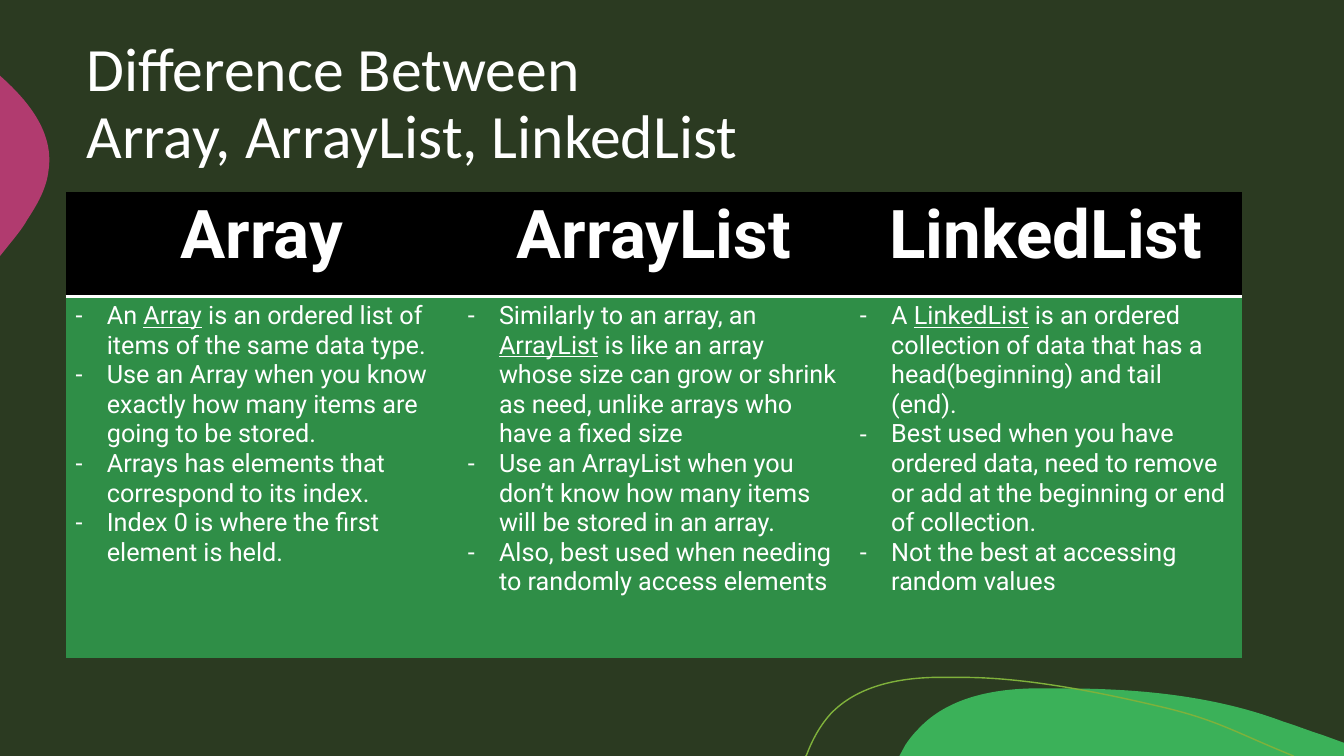
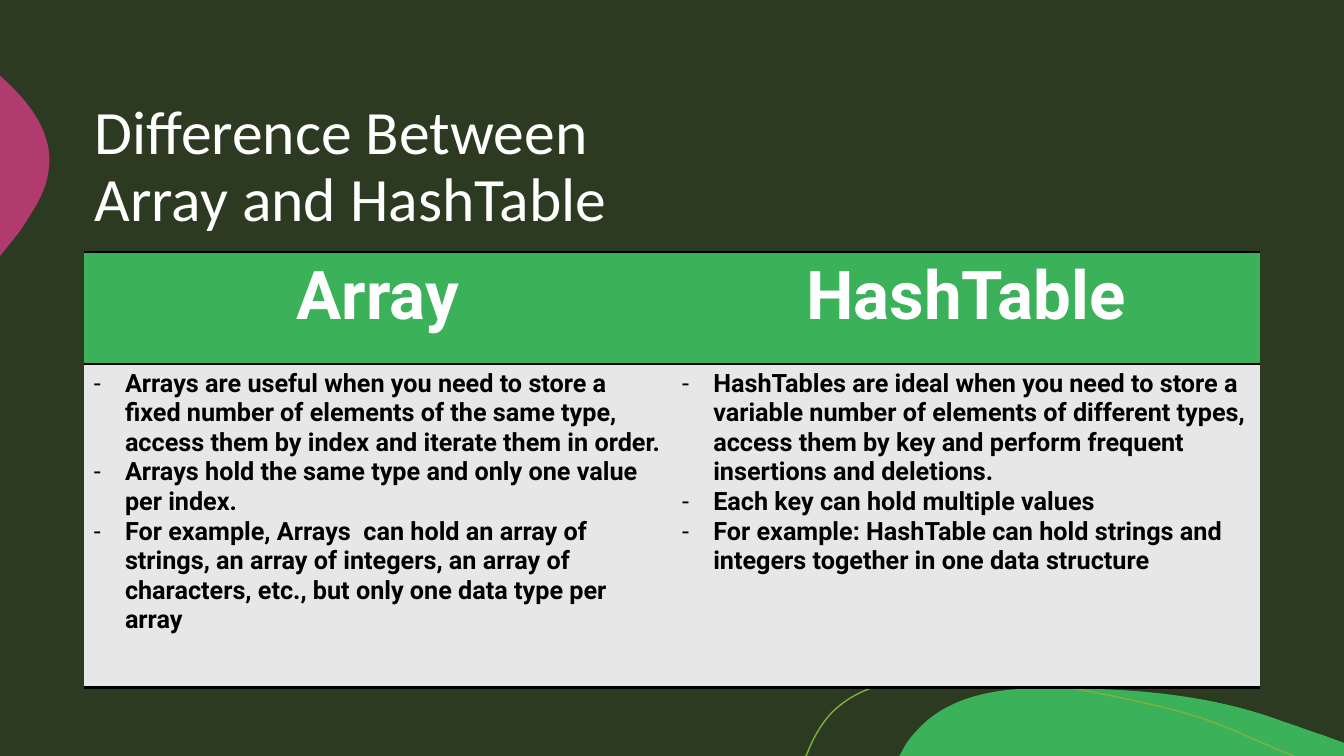
from lxml import etree
from pptx import Presentation
from pptx.dml.color import RGBColor
from pptx.enum.text import MSO_ANCHOR, PP_ALIGN
from pptx.oxml.ns import qn
from pptx.util import Inches, Pt

CENTER = PP_ALIGN.CENTER
MIDDLE = MSO_ANCHOR.MIDDLE

COLORS = {
    "background": "2B3A21",
    "green": "3BB159",
    "dark green": "2F8E47",
    "olive": "7FB13B",
    "pink": "B13B6F",
    "gray": "E7E7E7",
    "white": "FFFFFF",
    "black": "000000",
}
TITLE_FONT, TABLE_FONT = "Calibri", "Roboto"
TITLE_SIZE, HEADER_SIZE, BODY_SIZE = 44, 48, 18
CONTENT_WIDTH, TITLE_HEIGHT = 11.67, 1.67
BULLET_INDENT = 0.31
RULE_WIDTH = 2
NO_GRID_STYLE = "{2D5ABB26-0587-4C30-8999-92F81FD0307C}"

# Outlines: a start point, then segments of one point (line) or three (Bezier curve).
GREEN_HILL = [
    (10.54, 6.83),
    [(11.28, 6.83), (12.04, 6.9), (12.73, 7.16)],
    [(12.86, 7.2), (12.98, 7.25), (13.11, 7.29)],
    [(13.33, 7.37)], [(13.33, 7.5)], [(8.92, 7.5)], [(8.98, 7.39)],
    [(9.02, 7.33), (9.06, 7.28), (9.11, 7.23)],
    [(9.39, 6.93), (9.82, 6.84), (10.23, 6.83)],
    [(10.33, 6.83), (10.43, 6.83), (10.54, 6.83)],
]
PINK_BUMP = [
    (0, 0.75),
    [(0.01, 0.76)],
    [(0.3, 1.02), (0.54, 1.33), (0.48, 1.7)],
    [(0.46, 1.87), (0.37, 2.03), (0.27, 2.18)],
    [(0.24, 2.24), (0.17, 2.33), (0.08, 2.44)],
    [(0, 2.54)],
]
OLIVE_CURVE = [
    (7.99, 7.5),
    [(8, 7.49)],
    [(8.06, 7.33), (8.14, 7.19), (8.24, 7.08)],
    [(8.5, 6.81), (8.89, 6.73), (9.26, 6.72)],
    [(9.55, 6.72)],
    [(10.22, 6.72), (11, 6.89), (11.55, 7.02)],
    [(12.09, 7.15), (12.26, 7.27), (12.83, 7.5)],
]

# Words between underscores are underlined.
LIST_COLUMNS = {
    "Array": [
        "An _Array_ is an ordered list of items of the same data type.",
        "Use an Array when you know exactly how many items are going to be stored.",
        "Arrays has elements that correspond to its index.",
        "Index 0 is where the first element is held.",
    ],
    "ArrayList": [
        "Similarly to an array, an _ArrayList_ is like an array whose size can grow "
        "or shrink as need, unlike arrays who have a fixed size",
        "Use an ArrayList when you don’t know how many items will be stored in an array.",
        "Also, best used when needing to randomly access elements",
    ],
    "LinkedList": [
        "A _LinkedList_ is an ordered collection of data that has a head(beginning) "
        "and tail (end).",
        "Best used when you have ordered data, need to remove or add at the beginning "
        "or end of collection.",
        "Not the best at accessing random values",
    ],
}
HASH_COLUMNS = {
    "Array": [
        "Arrays are useful when you need to store a fixed number of elements of the "
        "same type, access them by index and iterate them in order.",
        "Arrays hold the same type and only one value per index.",
        "For example, Arrays  can hold an array of strings, an array of integers, "
        "an array of characters, etc., but only one data type per array",
    ],
    "HashTable": [
        "HashTables are ideal when you need to store a variable number of elements of "
        "different types, access them by key and perform frequent insertions and "
        "deletions.",
        "Each key can hold multiple values",
        "For example: HashTable can hold strings and integers together in one data "
        "structure",
    ],
}


def rgb(color):
    return RGBColor.from_string(COLORS[color])


def paint(fill, color):
    fill.solid()
    fill.fore_color.rgb = rgb(color)


def add_run(paragraph, text, font, size, color, bold=False):
    run = paragraph.add_run()
    run.text = text
    run.font.name = font
    run.font.size = Pt(size)
    run.font.bold = bold
    run.font.color.rgb = rgb(color)
    return run


def bend(shape, segments):
    """Turn the straight sides of a freeform into the curves of its segments."""
    sides = list(shape.element.iter(qn("a:lnTo")))
    for side, segment in zip(sides, segments):
        if len(segment) == 1:
            continue
        side.tag = qn("a:cubicBezTo")
        for position, (x, y) in enumerate(segment[:-1]):
            control = etree.Element(
                qn("a:pt"), x=str(Inches(x) - shape.left), y=str(Inches(y) - shape.top))
            side.insert(position, control)


def add_outline(slide, outline, fill=None, line=None):
    start, *segments = outline
    builder = slide.shapes.build_freeform(*map(Inches, start))
    builder.add_line_segments(
        [tuple(map(Inches, segment[-1])) for segment in segments],
        close=fill is not None)
    shape = builder.convert_to_shape()
    bend(shape, segments)
    shape.shadow.inherit = False
    if fill:
        paint(shape.fill, fill)
    else:
        shape.fill.background()
    if line:
        shape.line.color.rgb = rgb(line)
        shape.line.width = Pt(1)
    else:
        shape.line.fill.background()
    return shape


def decorate_layout(slide):
    """Move the shared decoration from the slide onto its layout."""
    decoration = [
        add_outline(slide, GREEN_HILL, fill="green"),
        add_outline(slide, PINK_BUMP, fill="pink"),
        add_outline(slide, OLIVE_CURVE, line="olive"),
    ]
    for shape in decoration:
        slide.slide_layout.shapes.element.append(shape.element)


def add_title(slide, left, top, lines):
    box = slide.shapes.add_textbox(
        Inches(left), Inches(top), Inches(CONTENT_WIDTH), Inches(TITLE_HEIGHT))
    frame = box.text_frame
    frame.word_wrap = True
    frame.vertical_anchor = MIDDLE
    paragraph = frame.paragraphs[0]
    paragraph.line_spacing = 0.9
    for index, line in enumerate(lines):
        if index:
            paragraph.add_line_break()
        add_run(paragraph, line, TITLE_FONT, TITLE_SIZE, "white")


def add_dash(paragraph):
    properties = paragraph._p.get_or_add_pPr()
    properties.set("marL", str(Inches(BULLET_INDENT)))
    properties.set("indent", str(-Inches(BULLET_INDENT)))
    etree.SubElement(properties, qn("a:buFont"), typeface=TABLE_FONT)
    etree.SubElement(properties, qn("a:buChar"), char="-")


def set_rules(cell, rules):
    """Draw a rule on each named side of a cell."""
    properties = cell._tc.get_or_add_tcPr()
    for position, (tag, color) in enumerate(rules.items()):
        line = etree.Element(qn(tag), w=str(Pt(RULE_WIDTH)))
        solid = etree.SubElement(line, qn("a:solidFill"))
        etree.SubElement(solid, qn("a:srgbClr"), val=COLORS[color])
        properties.insert(position, line)


def fill_header(cell, heading):
    paragraph = cell.text_frame.paragraphs[0]
    paragraph.alignment = CENTER
    add_run(paragraph, heading, TABLE_FONT, HEADER_SIZE, "white", bold=True)


def fill_body(cell, points, color, bold):
    frame = cell.text_frame
    for index, point in enumerate(points):
        paragraph = frame.add_paragraph() if index else frame.paragraphs[0]
        add_dash(paragraph)
        for part, text in enumerate(point.split("_")):
            run = add_run(paragraph, text, TABLE_FONT, BODY_SIZE, color, bold)
            if part % 2:
                run.font.underline = True


def add_comparison(slide, left, top, row_heights, columns, fills, rules,
                   body_color, body_bold=False):
    """Add a table with a heading and a dashed list for each column."""
    table = slide.shapes.add_table(
        len(row_heights), len(columns), Inches(left), Inches(top),
        Inches(CONTENT_WIDTH), Inches(sum(row_heights))).table
    table.horz_banding = False
    table._tbl.tblPr.find(qn("a:tableStyleId")).text = NO_GRID_STYLE
    for row, height in zip(table.rows, row_heights):
        row.height = Inches(height)
    for index, (heading, points) in enumerate(columns.items()):
        table.columns[index].width = Inches(CONTENT_WIDTH / len(columns))
        fill_header(table.cell(0, index), heading)
        fill_body(table.cell(1, index), points, body_color, body_bold)
        for row, fill in enumerate(fills):
            cell = table.cell(row, index)
            paint(cell.fill, fill)
            set_rules(cell, rules[row])


def main():
    prs = Presentation()
    prs.slide_width, prs.slide_height = Inches(13.33), Inches(7.5)
    paint(prs.slide_master.background.fill, "background")
    blank = prs.slide_layouts[6]

    lists = prs.slides.add_slide(blank)
    decorate_layout(lists)
    add_title(lists, 0.76, 0.21, ["Difference Between", "Array, ArrayList, LinkedList"])
    add_comparison(lists, 0.65, 1.9, (1.04, 3.59), LIST_COLUMNS,
                   fills=("black", "dark green"), rules=({"a:lnB": "white"}, {}),
                   body_color="white")

    hashes = prs.slides.add_slide(blank)
    add_title(hashes, 0.84, 0.83, ["Difference Between", "Array and HashTable"])
    add_comparison(hashes, 0.83, 2.5, (1.11, 3.21), HASH_COLUMNS,
                   fills=("green", "gray"),
                   rules=({"a:lnT": "black", "a:lnB": "black"}, {"a:lnB": "black"}),
                   body_color="black", body_bold=True)

    prs.save("out.pptx")


if __name__ == "__main__":
    main()
